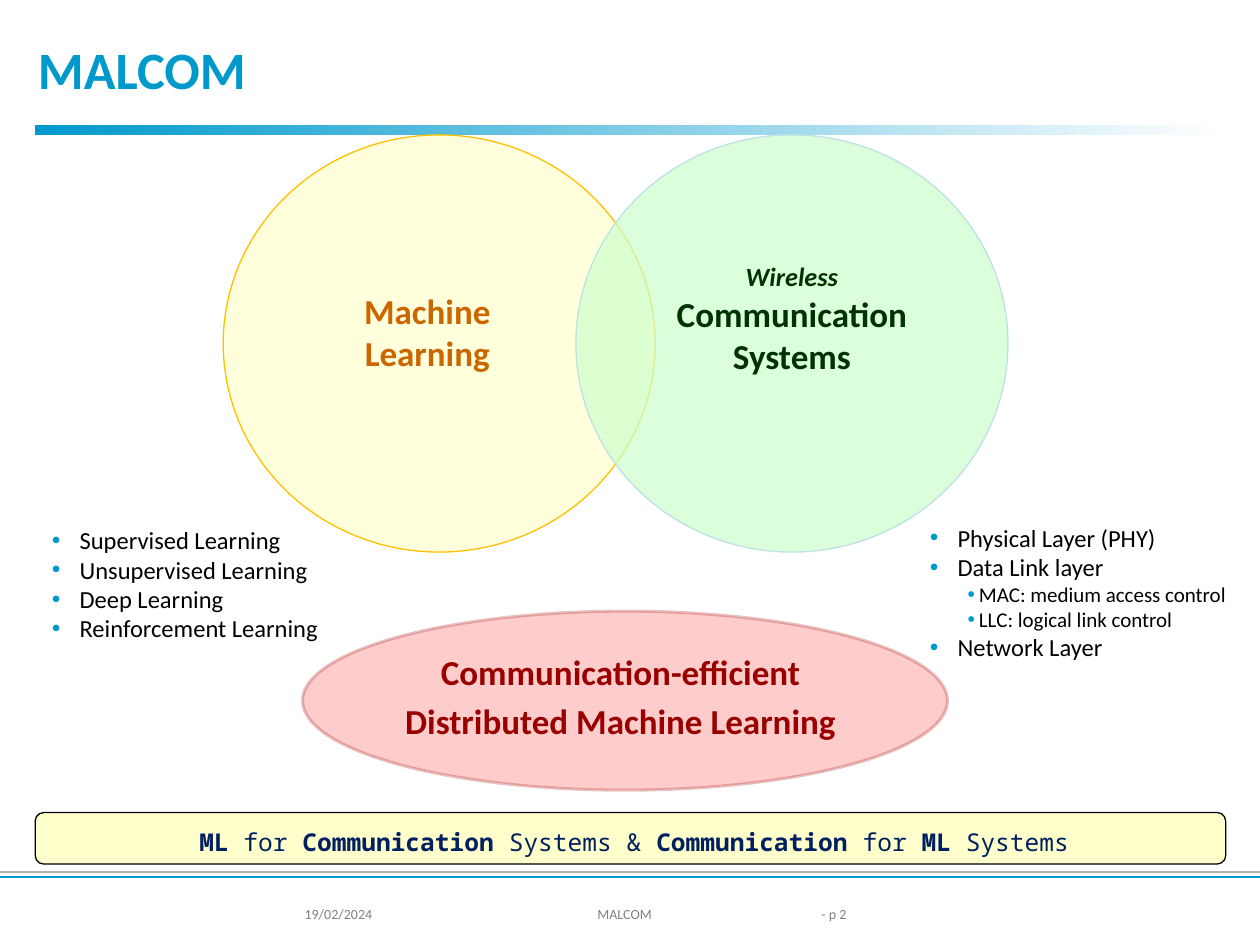
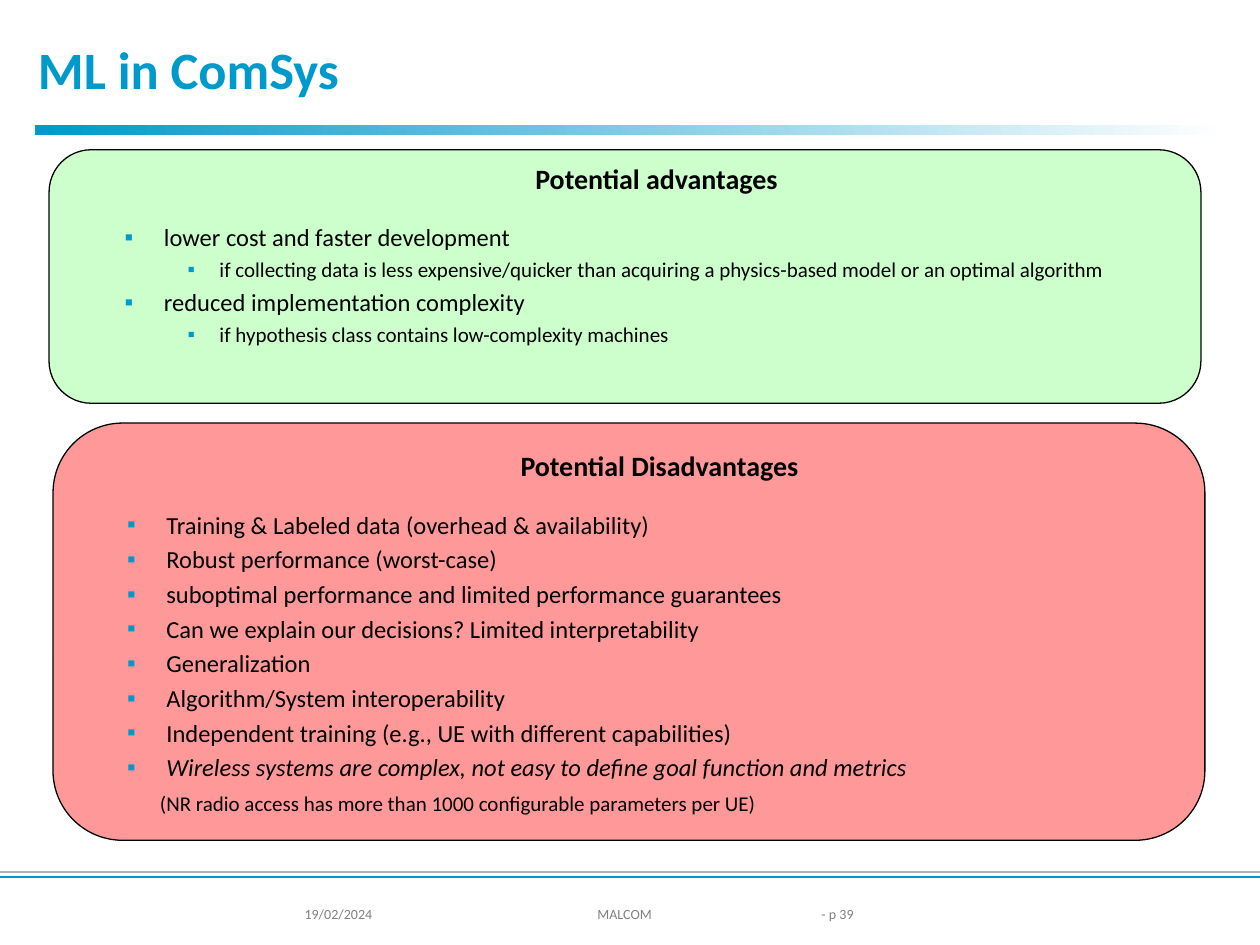
from lxml import etree
from pptx import Presentation
from pptx import util as u
from pptx.dml import color
from pptx.enum import shapes, text
from pptx.oxml import ns

# Shared colours and text formats
BLUE, BLACK, WHITE, GREY = "0099CC", "000000", "FFFFFF", "808080"
CREAM, MINT, RED = "FFFFCC", "CCFFCC", "990000"
LEFT, CENTER = text.PP_ALIGN.LEFT, text.PP_ALIGN.CENTER
TITLE = {"size": 30, "bold": True, "color": BLUE}
FOOTER = {"size": 8, "color": GREY}
HEADING = {"size": 20, "bold": True}
BANNER = {"size": 14, "name": "Noto Sans Mono", "color": "002060"}

# List styles: level, left margin and indent in cm, bullet, space before in points
LAYER = {"level": 1, "margin": 2.06, "indent": -0.56, "bullet": "•", "font": {"size": 14}}
SUBLAYER = {"level": 3, "margin": 2.49, "indent": -0.23, "bullet": "•", "font": {"size": 12}}
PANEL_TITLE = {"level": 1, "margin": 1.27, "indent": 0, "align": CENTER,
               "font": {"size": 16, "bold": True}}
POINT = {"level": 1, "margin": 2.06, "indent": -0.79, "bullet": "▪", "before": 3,
         "font": {"size": 14}}
FIRST_POINT = {**POINT, "before": 15.5}
LAST_POINT = {**POINT, "font": {"size": 14, "italic": True}}
DETAIL = {"level": 2, "margin": 3.18, "indent": -0.64, "bullet": "▪", "before": 3,
          "font": {"size": 12}}
NOTE = {"level": 1, "margin": 1.93, "indent": 0, "before": 5, "font": {"size": 12}}


def rgb(value):
    return color.RGBColor.from_string(value)


def place(shape, box):
    for name, value in zip(("left", "top", "width", "height"), box):
        setattr(shape, name, u.Cm(value))


def set_font(font, style):
    values = {"name": "Calibri", "color": BLACK, "bold": False, "italic": False, **style}
    font.color.rgb = rgb(values.pop("color"))
    values["size"] = u.Pt(values["size"])
    for name, value in values.items():
        setattr(font, name, value)


def add_run(paragraph, words, style):
    run = paragraph.add_run()
    run.text = words
    set_font(run.font, style)


def next_paragraph(frame, index):
    return frame.add_paragraph() if index else frame.paragraphs[0]


def set_frame(frame, anchor=text.MSO_ANCHOR.TOP):
    values = {"word_wrap": True, "auto_size": text.MSO_AUTO_SIZE.NONE, "vertical_anchor": anchor}
    for name, value in values.items():
        setattr(frame, name, value)


def set_alpha(parent, percent):
    """Make the solid fill directly under parent translucent."""
    fill_color = parent.find(ns.qn("a:solidFill") + "/" + ns.qn("a:srgbClr"))
    etree.SubElement(fill_color, ns.qn("a:alpha"), val=str(percent * 1000))


def set_bullet(paragraph, item):
    properties = paragraph._p.get_or_add_pPr()
    properties.set("marL", str(u.Cm(item["margin"])))
    properties.set("indent", str(u.Cm(item["indent"])))
    if "bullet" not in item:
        etree.SubElement(properties, ns.qn("a:buNone"))
        return
    bullet_color = etree.SubElement(properties, ns.qn("a:buClr"))
    etree.SubElement(bullet_color, ns.qn("a:srgbClr"), val=BLUE)
    etree.SubElement(properties, ns.qn("a:buFont"), typeface="Arial")
    etree.SubElement(properties, ns.qn("a:buChar"), char=item["bullet"])


def add_shape(slide, kind, box, fill, line=None, width=0.75, alpha=None):
    shape = slide.shapes.add_shape(kind, *map(u.Cm, box))
    shape.shadow.inherit = False
    shape.fill.solid()
    shape.fill.fore_color.rgb = rgb(fill)
    if alpha:
        set_alpha(shape.element.spPr, alpha)
    if line:
        shape.line.color.rgb = rgb(line)
        shape.line.width = u.Pt(width)
    else:
        shape.line.fill.background()
    return shape


def add_label(slide, box, lines, align=CENTER, before=0, anchor=text.MSO_ANCHOR.TOP):
    """Each line is a list of (words, style) runs."""
    label = slide.shapes.add_textbox(*map(u.Cm, box))
    set_frame(label.text_frame, anchor)
    for index, runs in enumerate(lines):
        paragraph = next_paragraph(label.text_frame, index)
        paragraph.alignment = align
        paragraph.space_before = u.Pt(before if index else 0)
        for words, style in runs:
            add_run(paragraph, words, style)


def fill_list(slide, position, box, items):
    """Fill a body placeholder with (words, style) items and bring it to the front."""
    body = slide.placeholders[position]
    place(body, box)
    body.element.getparent().append(body.element)
    set_frame(body.text_frame)
    for index, (words, item) in enumerate(items):
        paragraph = next_paragraph(body.text_frame, index)
        paragraph.level = item["level"]
        paragraph.alignment = item.get("align", LEFT)
        paragraph.space_before = u.Pt(item.get("before", 0))
        set_bullet(paragraph, item)
        add_run(paragraph, words, item["font"])


def add_rule(slide, top, line):
    rule = slide.shapes.add_connector(shapes.MSO_CONNECTOR.STRAIGHT, 0, u.Cm(top),
                                      u.Cm(25.4), u.Cm(top))
    rule.line.color.rgb = rgb(line)
    rule.line.width = u.Pt(1.5)
    etree.SubElement(rule.element.spPr, ns.qn("a:effectLst"))


def add_slide(presentation, title, page):
    """Slide with title, gradient band, footer rules and footer texts."""
    slide = presentation.slides.add_slide(presentation.slide_layouts[3])
    place(slide.shapes.title, (0.51, 0.61, 23.8, 1.8))
    set_frame(slide.shapes.title.text_frame)
    paragraph = slide.shapes.title.text_frame.paragraphs[0]
    paragraph.alignment = LEFT
    add_run(paragraph, title, TITLE)

    band = add_shape(slide, shapes.MSO_SHAPE.RECTANGLE, (0.71, 2.53, 24, 0.2), BLUE)
    band.fill.gradient()
    band.fill.gradient_angle = 0
    for stop, value in zip(band.fill.gradient_stops, (BLUE, WHITE)):
        stop.color.rgb = rgb(value)

    add_rule(slide, 17.58, "B2B2B2")
    add_rule(slide, 17.68, BLUE)
    for left, width, words, align in ((5.89, 3, "19/02/2024", LEFT),
                                      (9.09, 7.01, "MALCOM", CENTER),
                                      (16.31, 2.01, f"- p {page}", LEFT)):
        add_label(slide, (left, 18.14, width, 0.56), [[(words, FOOTER)]], align)
    return slide


def build_overview(presentation):
    slide = add_slide(presentation, "MALCOM", 2)
    oval = shapes.MSO_SHAPE.OVAL

    # Two overlapping fields
    learning = {**HEADING, "color": "CC6600"}
    systems = {**HEADING, "color": "003300"}
    add_shape(slide, oval, (4.5, 2.72, 8.71, 8.41), CREAM, "FFC000", alpha=70)
    add_label(slide, (4.5, 5.72, 8.23, 1.96), [[("Machine", learning)], [("Learning", learning)]])
    add_shape(slide, oval, (11.61, 2.72, 8.71, 8.41), MINT, "BDE1E4", alpha=70)
    add_label(slide, (11.61, 5.13, 8.71, 2.62), [
        [("Wireless", {**systems, "size": 15, "italic": True})],
        [("Communication", systems)],
        [("Systems", systems)]])

    # Topics of each field
    fill_list(slide, 1, (-0.71, 10.46, 8.33, 3.61), [
        (f"{kind} Learning", LAYER)
        for kind in ("Supervised", "Unsupervised", "Deep", "Reinforcement")])
    fill_list(slide, 2, (16.99, 10.41, 9.02, 2.21), [
        ("Physical Layer (PHY)", LAYER),
        ("Data Link layer", LAYER),
        ("MAC: medium access control", SUBLAYER),
        ("LLC: logical link control", SUBLAYER),
        ("Network Layer", LAYER)])

    # Banner with alternating bold words
    add_shape(slide, shapes.MSO_SHAPE.ROUNDED_RECTANGLE, (0.71, 16.38, 24, 1.04), CREAM, BLACK)
    words = ("ML", " for ", "Communication", " Systems & ", "Communication", " for ",
             "ML", " Systems")
    add_label(slide, (1.09, 16.54, 23.39, 0.86), [
        [(word, {**BANNER, "bold": index % 2 == 0}) for index, word in enumerate(words)]])

    # Common goal
    goal = {**HEADING, "color": RED}
    ellipse = add_shape(slide, oval, (6.1, 12.32, 13, 3.61), "FFCCCC", RED, 1.75)
    set_alpha(ellipse.element.spPr.find(ns.qn("a:ln")), 24)
    add_label(slide, (2.31, 12.47, 20.4, 3.12),
              [[("Communication-efficient", goal)], [("Distributed Machine Learning", goal)]],
              before=4, anchor=text.MSO_ANCHOR.MIDDLE)


def build_comparison(presentation):
    slide = add_slide(presentation, "ML in ComSys", 39)
    rounded = shapes.MSO_SHAPE.ROUNDED_RECTANGLE

    # Advantages
    add_shape(slide, rounded, (0.99, 3.02, 23.22, 5.11), MINT, BLACK)
    fill_list(slide, 1, (0.99, 3.12, 23.22, 2.21), [
        ("Potential advantages", PANEL_TITLE),
        ("lower cost and faster development", FIRST_POINT),
        ("if collecting data is less expensive/quicker than acquiring a physics-based model "
         "or an optimal algorithm", DETAIL),
        ("reduced implementation complexity", POINT),
        ("if hypothesis class contains low-complexity machines", DETAIL)])

    # Disadvantages
    add_shape(slide, rounded, (1.07, 8.53, 23.22, 8.41), "FF9999", BLACK)
    fill_list(slide, 2, (1.04, 8.92, 23.24, 2.21), [
        ("Potential Disadvantages", PANEL_TITLE),
        ("Training & Labeled data (overhead & availability)", FIRST_POINT),
        ("Robust performance (worst-case)", POINT),
        ("suboptimal performance and limited performance guarantees", POINT),
        ("Can we explain our decisions? Limited interpretability", POINT),
        ("Generalization", POINT),
        ("Algorithm/System interoperability", POINT),
        ("Independent training (e.g., UE with different capabilities)", POINT),
        ("Wireless systems are complex, not easy to define goal function and metrics", LAST_POINT),
        ("(NR radio access has more than 1000 configurable parameters per UE)", NOTE)])


def main():
    presentation = Presentation()
    presentation.slide_width, presentation.slide_height = u.Cm(25.4), u.Cm(19.05)
    build_overview(presentation)
    build_comparison(presentation)
    presentation.save("out.pptx")


if __name__ == "__main__":
    main()
